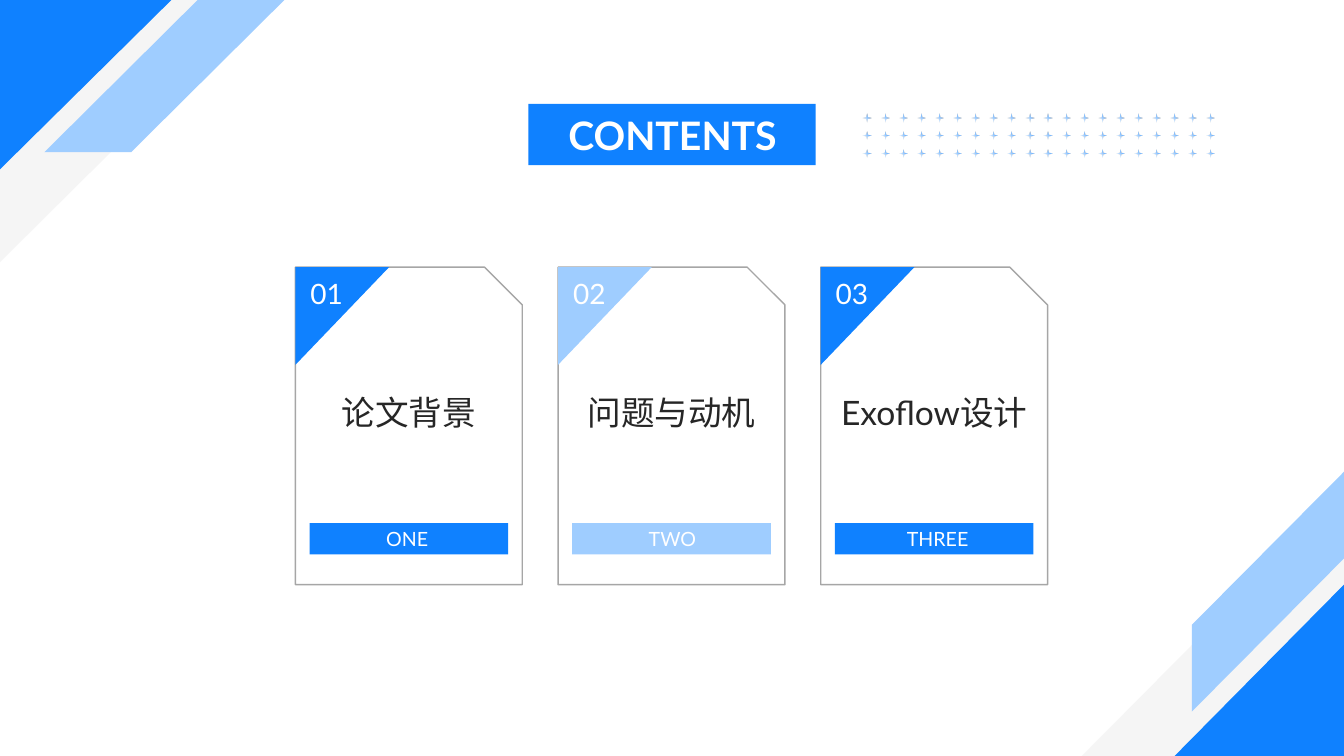
from dataclasses import dataclass

from lxml.etree import SubElement
from pptx import Presentation
from pptx.dml.color import RGBColor as RGB
from pptx.enum.shapes import MSO_SHAPE as Preset
from pptx.enum.text import MSO_AUTO_SIZE as AutoSize, PP_ALIGN as Align
from pptx.oxml.ns import qn
from pptx.util import Inches, Pt


@dataclass(frozen=True)
class Theme:
    font: str = "Lato"
    blue: RGB = RGB(0x0F, 0x81, 0xFF)
    sky: RGB = RGB(0x9F, 0xCD, 0xFF)
    mist: RGB = RGB(0xF2, 0xF2, 0xF2)
    outline: RGB = RGB(0xA6, 0xA6, 0xA6)
    ink: RGB = RGB(0x26, 0x26, 0x26)
    white: RGB = RGB(0xFF, 0xFF, 0xFF)
    title: int = 28
    topic: int = 24
    number: int = 20
    label: int = 14


def set_alpha(color_parent, percent):
    color = color_parent.find(".//" + qn("a:srgbClr"))
    SubElement(color, qn("a:alpha"), val=str(percent * 1000))


def write(frame, text, *, font, size, color, bold=False):
    frame.word_wrap = True
    frame.auto_size = AutoSize.SHAPE_TO_FIT_TEXT
    paragraph = frame.paragraphs[0]
    paragraph.alignment = Align.CENTER
    run = paragraph.add_run()
    run.text = text
    run.font.name = font
    run.font.size = Pt(size)
    run.font.bold = bold
    run.font.color.rgb = color


class Painter:
    def __init__(self, slide, theme):
        self.slide = slide
        self.theme = theme
        self.layer = slide.shapes

    def start_group(self):
        self.layer = self.slide.shapes.add_group_shape().shapes

    def preset(self, kind, left, top, width, height, fill=None, line=None):
        shape = self.layer.add_shape(
            kind, Inches(left), Inches(top), Inches(width), Inches(height))
        return self.paint(shape, fill, line)

    def polygon(self, points, fill, alpha=None):
        start, *rest = [(Inches(x), Inches(y)) for x, y in points]
        builder = self.layer.build_freeform(*start)
        builder.add_line_segments(rest, close=True)
        shape = self.paint(builder.convert_to_shape(), fill)
        if alpha:
            set_alpha(shape.element.spPr, alpha)

    def paint(self, shape, fill, line=None):
        shape.shadow.inherit = False
        if fill is None:
            shape.fill.background()
        else:
            shape.fill.solid()
            shape.fill.fore_color.rgb = fill
        if line is None:
            shape.line.fill.background()
        else:
            shape.line.color.rgb = line
            shape.line.width = Pt(1)
        return shape

    def text(self, text, left, top, width, height, **style):
        box = self.layer.add_textbox(
            Inches(left), Inches(top), Inches(width), Inches(height))
        write(box.text_frame, text, font=self.theme.font, **style)

    def star(self, left, top, size):
        star = self.preset(Preset.STAR_4_POINT, left, top, size, size)
        star.element.spPr.find(qn("a:xfrm")).set("flipH", "1")
        star.fill.gradient()
        star.fill.gradient_angle = 360 - 41
        solid, faded = star.fill.gradient_stops
        solid.position, solid.color.rgb = 0.1, self.theme.blue
        faded.position, faded.color.rgb = 1, self.theme.sky
        set_alpha(star.element.spPr.findall(".//" + qn("a:gs"))[1], 0)

    def corner(self, backdrop, triangle, band):
        self.start_group()
        self.polygon(backdrop, self.theme.mist, alpha=75)
        self.polygon(triangle, self.theme.blue)
        self.polygon(band, self.theme.sky)

    def heading(self, title):
        self.start_group()
        self.preset(Preset.RECTANGLE, 5.24, 1.03, 2.85, 0.61, self.theme.blue)
        self.text(title, 5.33, 1.06, 2.68, 0.57,
                  size=self.theme.title, color=self.theme.white, bold=True)

    def card(self, left, number, topic, label, label_left, accent):
        theme, top = self.theme, 2.65
        self.preset(Preset.SNIP_1_RECTANGLE, left, top, 2.25, 3.15,
                    line=theme.outline)
        self.polygon([(left, top), (left + 0.93, top), (left, top + 0.97)], accent)
        self.text(number, left, 2.69, 0.62, 0.44,
                  size=theme.number, color=theme.white)
        self.text(topic, left + 0.05, 3.84, 2.15, 0.5,
                  size=theme.topic, color=theme.ink)
        self.preset(Preset.RECTANGLE, left + 0.14, 5.19, 1.97, 0.31, accent)
        self.text(label, label_left, 5.18, 0.96, 0.35,
                  size=theme.label, color=theme.white)

    def star_field(self, left, right, top, bottom, columns, rows):
        self.start_group()
        column_step = (right - left) / (columns - 1)
        row_step = (bottom - top) / (rows - 1)
        for row in range(rows):
            for column in range(columns):
                self.star(left + column * column_step, top + row * row_step, 0.08)


def main():
    deck = Presentation()
    deck.slide_width, deck.slide_height = Inches(13.33), Inches(7.5)
    theme = Theme()
    painter = Painter(deck.slides.add_slide(deck.slide_layouts[6]), theme)

    painter.corner(
        backdrop=[(0, 0), (2.62, 0), (0, 2.6)],
        triangle=[(0, 0), (1.7, 0), (0, 1.68)],
        band=[(1.96, 0), (2.82, 0), (1.3, 1.51), (0.44, 1.51)])
    painter.corner(
        backdrop=[(13.33, 7.5), (13.33, 4.88), (10.73, 7.5)],
        triangle=[(13.33, 7.5), (13.33, 5.8), (11.65, 7.5)],
        band=[(13.33, 5.54), (13.33, 4.68), (11.82, 6.2), (11.82, 7.06)])
    painter.heading("CONTENTS")

    chapters = [
        ("论文背景", "ONE", 3.56, theme.blue),
        ("问题与动机", "TWO", 6.19, theme.sky),
        ("Exoflow设计", "THREE", 8.82, theme.blue),
    ]
    first_card, last_card = 2.93, 8.14
    card_step = (last_card - first_card) / (len(chapters) - 1)
    painter.start_group()
    for index, (topic, label, label_left, accent) in enumerate(chapters):
        painter.card(first_card + index * card_step, f"{index + 1:02}",
                     topic, label, label_left, accent)

    painter.star_field(left=8.56, right=11.97, top=1.13, bottom=1.48,
                       columns=20, rows=3)
    deck.save("out.pptx")


if __name__ == "__main__":
    main()
